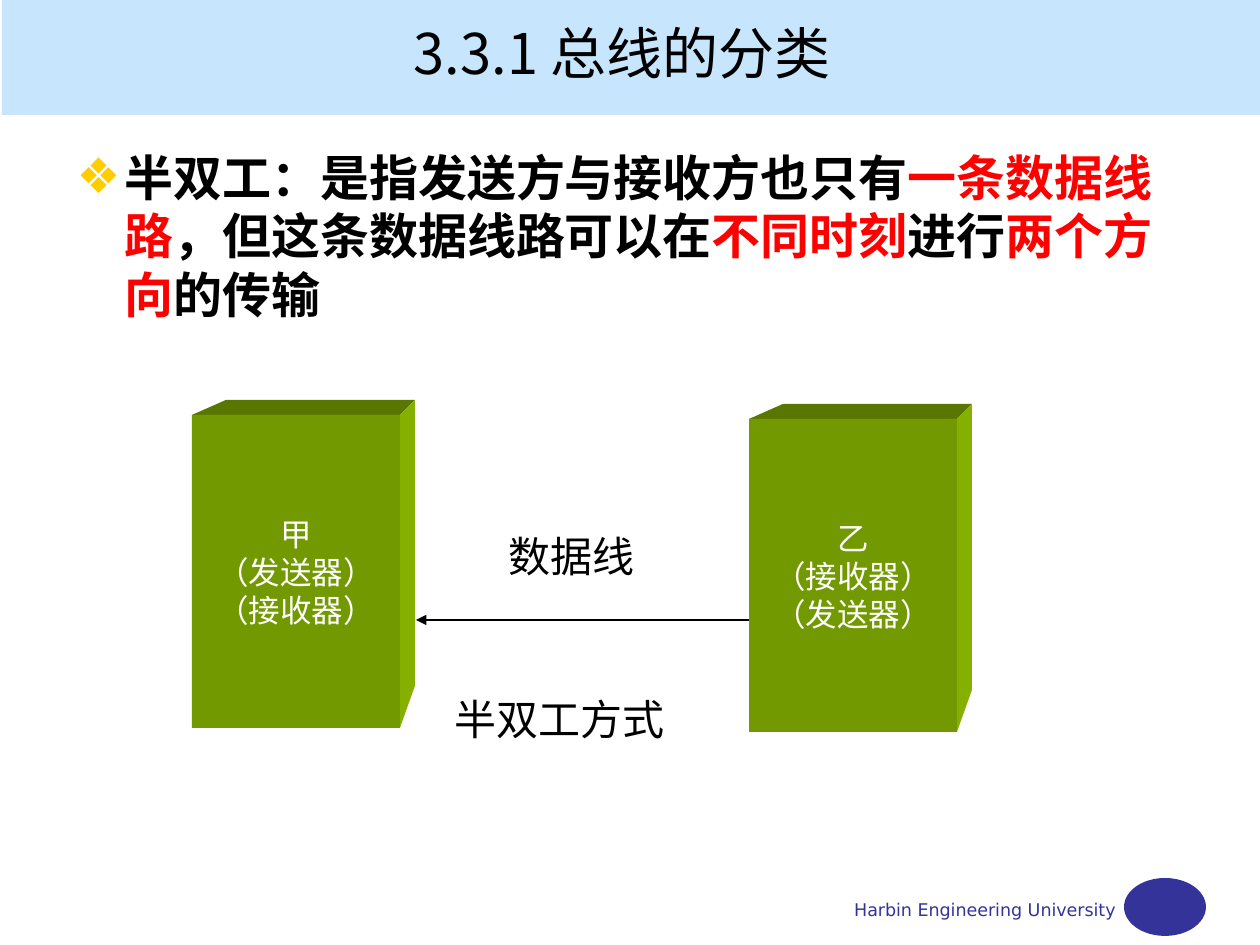
from lxml import etree
from pptx import Presentation
from pptx.dml.color import RGBColor
from pptx.enum.shapes import MSO_CONNECTOR, MSO_SHAPE
from pptx.enum.text import MSO_ANCHOR, MSO_AUTO_SIZE, PP_ALIGN
from pptx.oxml.ns import qn
from pptx.util import Pt

PX = 914400 / 126
LEFT, CENTER, RIGHT = PP_ALIGN.LEFT, PP_ALIGN.CENTER, PP_ALIGN.RIGHT
TOP, MIDDLE = MSO_ANCHOR.TOP, MSO_ANCHOR.MIDDLE
RECTANGLE, ELLIPSE = MSO_SHAPE.RECTANGLE, MSO_SHAPE.OVAL

BLACK = RGBColor(0, 0, 0)
WHITE = RGBColor(255, 255, 255)
RED = RGBColor(255, 0, 0)
SKY = RGBColor(0xC7, 0xE6, 0xFD)
NAVY = RGBColor(0x33, 0x33, 0x99)
GOLD = RGBColor(0xFF, 0xCC, 0x00)
GREEN = RGBColor(0x73, 0x99, 0x00)
DARK_GREEN = RGBColor(0x59, 0x76, 0x00)
LIGHT_GREEN = RGBColor(0x85, 0xB0, 0x00)

SANS, CJK, SERIF = "DejaVu Sans", "Noto Sans CJK SC", "Times New Roman"


def emu(*lengths):
    return [round(length * PX) for length in lengths]


class SlideWriter:
    """Holds the page being drawn and the shared text and shape style."""

    def __init__(self, page):
        self.page = page
        self.shapes = page.shapes

    def style(self, para, font, size, color, align=LEFT, bold=False, pitch=None):
        """Format a whole paragraph; pitch is a fixed line height in points."""
        para.alignment = align
        para.space_before = Pt(0)
        if pitch:
            para.line_spacing = Pt(pitch)
        para.font.name = font
        para.font.size = Pt(size)
        para.font.bold = bold
        para.font.color.rgb = color
        defaults = para._p.pPr.find(qn("a:defRPr"))
        etree.SubElement(defaults, qn("a:ea")).set("typeface", CJK)

    def paint(self, shape, color):
        shape.shadow.inherit = False
        shape.fill.solid()
        shape.fill.fore_color.rgb = color
        shape.line.fill.background()
        return shape

    def block(self, kind, x, y, width, height, color):
        return self.paint(self.shapes.add_shape(kind, *emu(x, y, width, height)), color)

    def facet(self, points, color):
        builder = self.shapes.build_freeform(*points[0], scale=PX)
        builder.add_line_segments(points[1:], close=True)
        self.paint(builder.convert_to_shape(), color)

    def label(self, text, x, y, width, height, size, color=BLACK, **style):
        box = self.shapes.add_textbox(*emu(x, y, width, height))
        box.text_frame.word_wrap = True
        para = box.text_frame.paragraphs[0]
        para.text = text
        self.style(para, SANS, size, color, **style)

    def placeholder(self, index, x, y, width, height, anchor):
        """Place a template placeholder in front of what is drawn so far."""
        holder = self.page.placeholders[index]
        holder.left, holder.top, holder.width, holder.height = emu(x, y, width, height)
        holder._element.getparent().append(holder._element)
        frame = holder.text_frame
        frame.auto_size = MSO_AUTO_SIZE.NONE
        frame.vertical_anchor = anchor
        return frame.paragraphs[0]

    def title(self, text, *place):
        para = self.placeholder(0, *place, MIDDLE)
        para.text = text
        self.style(para, CJK, 32, BLACK, CENTER)

    def bullet(self, spans, *place):
        para = self.placeholder(1, *place, TOP)
        properties = para._p.get_or_add_pPr()
        indent = emu(48)[0]
        properties.set("marL", str(indent))
        properties.set("indent", str(-indent))
        bullet_color = etree.SubElement(properties, qn("a:buClr"))
        etree.SubElement(bullet_color, qn("a:srgbClr")).set("val", str(GOLD))
        etree.SubElement(properties, qn("a:buChar")).set("char", "❖")
        self.style(para, CJK, 28, BLACK, bold=True, pitch=33.5)
        for text, color in spans:
            span = para.add_run()
            span.text = text
            span.font.color.rgb = color

    def double_arrow(self, x1, y1, x2, y2):
        line = self.shapes.add_connector(MSO_CONNECTOR.STRAIGHT, *emu(x1, y1, x2, y2))
        line.line.color.rgb = BLACK
        line.line.width = Pt(0.75)
        outline = line.line._get_or_add_ln()
        for end in ("a:headEnd", "a:tailEnd"):
            etree.SubElement(outline, qn(end)).set("type", "triangle")
        etree.SubElement(line._element.spPr, qn("a:effectLst"))

    def device(self, lines, x, y):
        """Draw a green box with a top and a right face, seen from the front."""
        width, height, depth = 208, 313, 15
        right, bottom, back = x + width, y + height, x + width + depth
        self.facet([(x, y), (x + 34, y - depth), (back, y - depth), (right, y)],
                   DARK_GREEN)
        self.facet([(right, y), (back, y - depth), (back, bottom - 42),
                    (right, bottom)], LIGHT_GREEN)
        frame = self.block(RECTANGLE, x, y, width, height, GREEN).text_frame
        frame.word_wrap = False
        frame.vertical_anchor = MIDDLE
        for number, text in enumerate(lines):
            para = frame.add_paragraph() if number else frame.paragraphs[0]
            para.text = text
            self.style(para, SERIF, 18, WHITE, CENTER, pitch=21.7)


def main():
    deck = Presentation()
    deck.slide_width, deck.slide_height = emu(1260, 945)
    writer = SlideWriter(deck.slides.add_slide(deck.slide_layouts[1]))

    writer.block(RECTANGLE, 2, 0, 1258, 115, SKY)
    writer.block(ELLIPSE, 1124, 878, 82, 58, NAVY)
    writer.label("Harbin Engineering University", 582, 893, 546, 42, 10, NAVY,
                 align=RIGHT)

    writer.bullet([
        ("半双工：是指发送方与接收方也只有", BLACK),
        ("一条数据线路", RED),
        ("，但这条数据线路可以在", BLACK),
        ("不同时刻", RED),
        ("进行", BLACK),
        ("两个方向", RED),
        ("的传输", BLACK),
    ], 64, 141, 1134, 683)

    writer.double_arrow(416, 620, 789, 620)
    writer.label("数据线", 496, 524, 199, 63, 24, pitch=28.8)
    writer.label("半双工方式", 442, 687, 306, 63, 24, pitch=28.8)
    writer.device(["甲", "（发送器）", "（接收器）"], 192, 415)
    writer.device(["乙", "（接收器）", "（发送器）"], 749, 419)
    writer.title("3.3.1 总线的分类", 82, 10, 1081, 84)

    deck.save("out.pptx")


if __name__ == "__main__":
    main()
